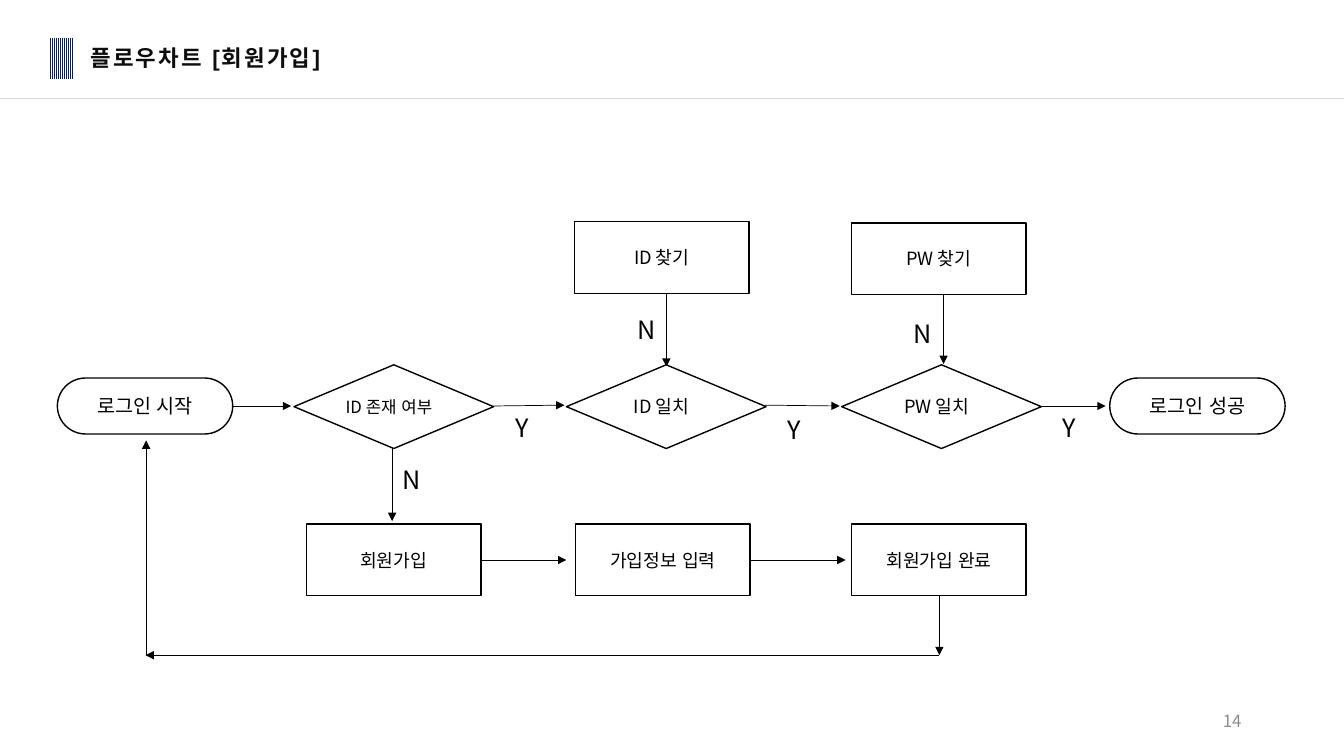
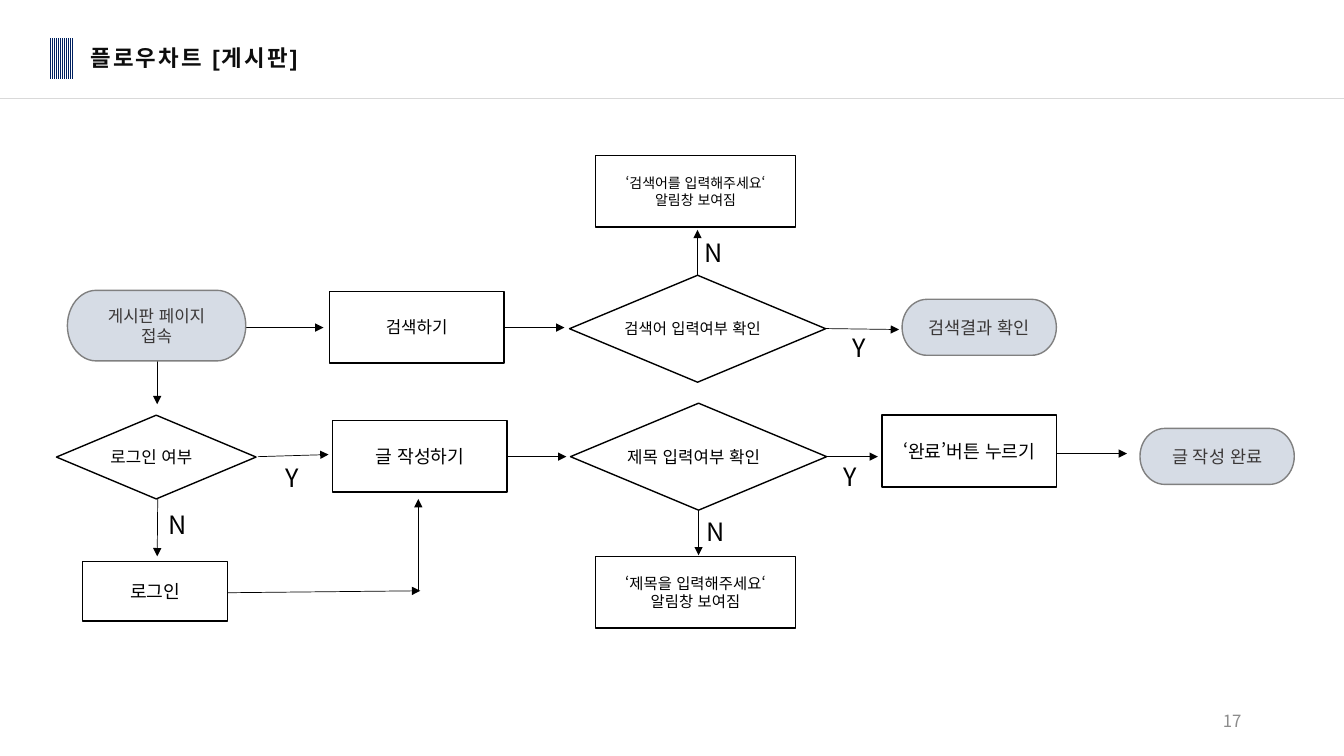
from lxml.etree import SubElement
from pptx import Presentation
from pptx.dml.color import RGBColor
from pptx.enum.dml import MSO_PATTERN
from pptx.enum.lang import MSO_LANGUAGE_ID
from pptx.enum.shapes import MSO_CONNECTOR, MSO_SHAPE
from pptx.enum.text import MSO_ANCHOR, MSO_AUTO_SIZE, PP_ALIGN
from pptx.oxml.ns import qn
from pptx.util import Pt

THEME = {
    "white": RGBColor(0xFF, 0xFF, 0xFF),
    "black": RGBColor(0, 0, 0),
    "title": RGBColor(0x0D, 0x0D, 0x0D),
    "navy": RGBColor(0x00, 0x20, 0x60),
    "rule": RGBColor(0xD9, 0xD9, 0xD9),
    "page": RGBColor(0x8C, 0x8C, 0x8C),
    "mist": RGBColor(0xD6, 0xDC, 0xE5),
    "gray": RGBColor(0x80, 0x80, 0x80),
    "dark": RGBColor(0x3B, 0x38, 0x38),
    "font": "Noto Sans CJK KR",
    "head": "Arial",
    "title_size": 16,
    "mark_size": 18,
    "page_size": 12,
}

# Shape, fill, line and text colour, right inset
KINDS = {
    "end": (MSO_SHAPE.FLOWCHART_TERMINATOR, "white", "black", "black", 7.2),
    "tint": (MSO_SHAPE.FLOWCHART_TERMINATOR, "mist", "gray", "dark", 7.2),
    "test": (MSO_SHAPE.DIAMOND, "white", "black", "black", 14),
    "step": (MSO_SHAPE.RECTANGLE, "white", "black", "black", 7.2),
}

END = (125.3, 40)
GOAL = (110.2, 40)
TEST = (142.6, 59.8)
WIDE = (183, 76.4)
STEP = (124.6, 51.2)
NOTE = (142.6, 51.2)

# Nodes: kind, left, top, size, text, type size
# Arrows: from x, from y, to x, to y
# Marks: letter, left, top
CHARTS = [
    {
        "title": "플로우차트 [회원가입]",
        "page": "14",
        "nodes": [
            ("end", 41, 270, END, "로그인 시작", 14),
            ("end", 792.7, 270, END, "로그인 성공", 14),
            ("test", 210, 260.6, TEST, "ID 존재 여부", 12),
            ("test", 404.6, 260.6, TEST, "ID 일치", 13),
            ("test", 601.2, 260.6, TEST, "PW 일치", 13),
            ("step", 218.9, 374.4, STEP, "회원가입", 13),
            ("step", 411.1, 374.4, STEP, "가입정보 입력", 13),
            ("step", 608.4, 374.4, STEP, "회원가입 완료", 13),
            ("step", 410.4, 158.4, STEP, "ID 찾기", 13),
            ("step", 608.4, 159.2, STEP, "PW 찾기", 13),
        ],
        "arrows": [
            (164.9, 290, 208, 290),
            (352.8, 290, 403.2, 289.4),
            (546.5, 289.4, 599.8, 290),
            (736.6, 290, 789.8, 290),
            (280.1, 315.4, 280.1, 372.2),
            (476, 206.6, 476, 262),
            (674, 208, 674, 260),
            (342.7, 400, 404.6, 400),
            (529.2, 400, 604, 400),
            (671, 425.5, 671, 468),
            (671, 468, 104, 468),
            (104.4, 468, 104.4, 314.6),
        ],
        "marks": [
            ("Y", 361.4, 290.9), ("Y", 555.8, 292.3), ("Y", 751.7, 290.9),
            ("N", 280.8, 328.3), ("N", 645.8, 223.9), ("N", 448.6, 221),
        ],
    },
    {
        "title": "플로우차트 [게시판]",
        "page": "17",
        "nodes": [
            ("tint", 48.2, 207.4, (127.4, 50.4), "게시판 페이지\n접속", 12),
            ("tint", 814.3, 306, GOAL, "글 작성 완료", 12.5),
            ("tint", 644.4, 213.8, GOAL, "검색결과 확인", 12.5),
            ("test", 40.3, 296.6, TEST, "로그인 여부", 12),
            ("test", 407.5, 288, WIDE, "제목 입력여부 확인", 12),
            ("test", 406.8, 196.6, WIDE, "검색어 입력여부 확인", 11),
            ("step", 59, 401, (103.7, 42.5), "로그인", 13),
            ("step", 235.4, 208.1, STEP, "검색하기", 12),
            ("step", 630, 296.6, STEP, "‘완료’버튼 누르기", 13),
            ("step", 237.6, 300.2, STEP, "글 작성하기", 13),
            ("step", 425.5, 110.9, NOTE, "‘검색어를 입력해주세요‘\n알림창 보여짐", 10),
            ("step", 425.5, 397.4, NOTE, "‘제목을 입력해주세요‘\n알림창 보여짐", 11),
        ],
        "arrows": [
            (112.3, 245.5, 112.3, 288.7),
            (184.3, 326.2, 234.7, 324.7),
            (590.4, 326.2, 627.1, 326.2),
            (112.7, 355, 112.3, 397.4),
            (175.7, 234, 231.1, 234),
            (361.4, 326.2, 404.6, 326.2),
            (754.6, 324, 805, 324),
            (162.7, 423.4, 300.2, 422),
            (298.8, 422, 298.8, 356.4),
            (360, 234, 403.2, 234),
            (498.2, 197.3, 498.2, 164.2),
            (589, 234.7, 642.2, 235.4),
            (499, 364.3, 499, 396.7),
        ],
        "marks": [
            ("Y", 196.6, 326.9), ("N", 113, 360), ("N", 496.1, 165.6),
            ("Y", 601.9, 234), ("N", 497.5, 365), ("Y", 595.4, 326.2),
        ],
    },
]


def write(shape, text, size, ink, align, anchor, wrap=True, **style):
    """Fill a shape with text; style holds further font attributes."""
    frame = shape.text_frame
    frame.text = text
    layout = {"word_wrap": wrap, "vertical_anchor": anchor,
              "auto_size": MSO_AUTO_SIZE.NONE}
    for key, value in layout.items():
        setattr(frame, key, value)
    look = {"name": THEME["font"], "size": Pt(size),
            "language_id": MSO_LANGUAGE_ID.KOREAN, **style}
    for para in frame.paragraphs:
        para.alignment = align
        for run in para.runs:
            run.font.color.rgb = THEME[ink]
            for key, value in look.items():
                setattr(run.font, key, value)
            SubElement(run._r.get_or_add_rPr(), qn("a:ea"), typeface=THEME["font"])


def draw(slide, ends, ink, arrow=True):
    """Draw a thin straight line, with an arrowhead at its end by default."""
    line = slide.shapes.add_connector(MSO_CONNECTOR.STRAIGHT, *map(Pt, ends))
    line.line.color.rgb = THEME[ink]
    line.line.width = Pt(0.5)
    if arrow:
        SubElement(line.line._get_or_add_ln(), qn("a:tailEnd"), type="triangle")
    SubElement(line._element.spPr, qn("a:effectLst"))


deck = Presentation()
deck.slide_width, deck.slide_height = Pt(960), Pt(540)
base = deck.slide_layouts[5]
place = {"left": 57.6, "top": 30.2, "width": 240, "height": 27.4}
for key, value in place.items():
    setattr(base.placeholders[0], key, Pt(value))

for chart in CHARTS:
    slide = deck.slides.add_slide(base)
    shapes = slide.shapes

    title = shapes.title
    write(title, chart["title"], THEME["title_size"], "title",
          PP_ALIGN.LEFT, MSO_ANCHOR.TOP, name=THEME["head"], bold=True)
    para = title.text_frame.paragraphs[0]
    para.line_spacing = 0.9
    para.runs[0]._r.get_or_add_rPr().set("spc", "150")

    band = shapes.add_shape(MSO_SHAPE.RECTANGLE, Pt(34.6), Pt(27.4), Pt(16.6), Pt(28.8))
    band.shadow.inherit = False
    band.line.fill.background()
    band.fill.patterned()
    band.fill.pattern = MSO_PATTERN.NARROW_VERTICAL
    band.fill.fore_color.rgb = THEME["navy"]
    band.fill.back_color.rgb = THEME["white"]
    draw(slide, (0, 70, 960, 70), "rule", arrow=False)

    for ends in chart["arrows"]:
        draw(slide, ends, "black")

    for kind, left, top, size, text, points in chart["nodes"]:
        form, fill, edge, ink, inset = KINDS[kind]
        node = shapes.add_shape(form, *map(Pt, (left, top, *size)))
        node.shadow.inherit = False
        node.fill.solid()
        node.fill.fore_color.rgb = THEME[fill]
        node.line.color.rgb = THEME[edge]
        node.line.width = Pt(1)
        node.text_frame.margin_right = Pt(inset)
        write(node, text, points, ink, PP_ALIGN.CENTER, MSO_ANCHOR.MIDDLE, wrap=False)

    for text, left, top in chart["marks"]:
        mark = shapes.add_textbox(Pt(left), Pt(top), Pt(28), Pt(29))
        write(mark, text, THEME["mark_size"], "black",
              PP_ALIGN.LEFT, MSO_ANCHOR.TOP, wrap=False)

    page = shapes.add_textbox(Pt(678), Pt(500.4), Pt(216), Pt(28.8))
    write(page, chart["page"], THEME["page_size"], "page",
          PP_ALIGN.RIGHT, MSO_ANCHOR.MIDDLE)

deck.save("out.pptx")
